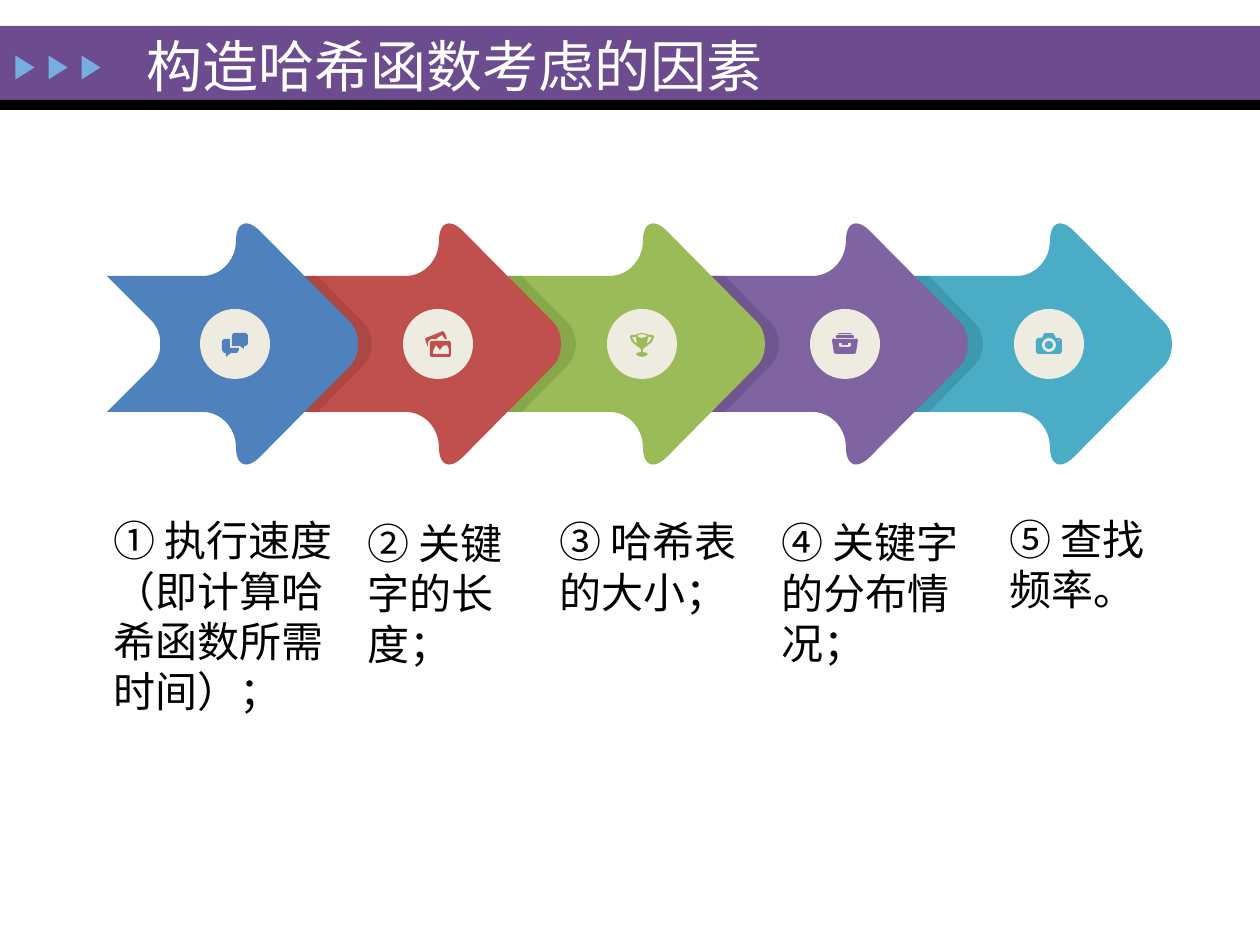
import math
import pptx
import pptx.util
import pptx.dml.color
import pptx.enum.shapes
import pptx.enum.text
import pptx.oxml.ns
import lxml.etree

KIND = pptx.enum.shapes.MSO_SHAPE
SCALE = 914400 / 126
AXIS = 344
PITCH = 203.4
HUES = {
    "band": "6C4C8F", "black": "000000", "white": "FFFFFF", "mark": "76AEDD", "disc": "EEECE1",
    "blue": "4F81BD", "red": "C0504D", "green": "9BBB59", "plum": "8064A2", "teal": "4BACC6",
    "dark red": "632523", "dark green": "77933C", "dark plum": "604A7B", "dark teal": "31859C",
}
STEPS = [
    ("blue", None, 0),
    ("red", "dark red", 20),
    ("green", "dark green", 50),
    ("plum", "dark plum", 50),
    ("teal", "dark teal", 50),
]
NOTES = [
    ("① 执行速度（即计算哈希函数所需时间）；", 101, 249, 205),
    ("② 关键字的长度；", 355, 186, 160),
    ("③ 哈希表的大小；", 547, 221, 106),
    ("④ 关键字的分布情况；", 769, 207, 159),
    ("⑤ 查找频率。", 997, 183, 102),
]

TAIL = [(0, 0), (0, -34), (0, -53, 15, -68, 34, -68)]
NOTCH = [(93, 0), (94, -9, 90, -18, 84, -24), (40, -68)]
HEAD = [
    (136, -68),
    (154, -68, 169, -84, 169, -103),
    (169, -122, 180, -126, 193, -113),
    (281, -24),
    (288, -18, 291, -9, 291, 0),
]
SHADE = TAIL + [(48, -68), (91, -24), (98, -18, 102, -9, 102, 0)]


def px(num):
    return pptx.util.Emu(round(num * SCALE))


def rgb(hue):
    return pptx.dml.color.RGBColor.from_string(HUES[hue])


def paint(shape, hue, alpha=100):
    shape.shadow.inherit = False
    shape.fill.solid()
    shape.fill.fore_color.rgb = rgb(hue)
    shape.line.fill.background()
    if alpha < 100:
        tint = shape.fill._xPr.find(".//" + pptx.oxml.ns.qn("a:srgbClr"))
        part = lxml.etree.SubElement(tint, pptx.oxml.ns.qn("a:alpha"))
        part.set("val", str(alpha * 1000))


def block(slide, kind, left, top, wide, high, hue):
    shape = slide.shapes.add_shape(kind, px(left), px(top), px(wide), px(high))
    paint(shape, hue)
    return shape


def write(slide, text, left, top, wide, high, size=24, hue="black"):
    box = slide.shapes.add_textbox(px(left), px(top), px(wide), px(high))
    frame = box.text_frame
    frame.word_wrap = True
    frame.vertical_anchor = pptx.enum.text.MSO_ANCHOR.MIDDLE
    para = frame.paragraphs[0]
    para.text = text
    para.font.name = "Calibri"
    para.font.size = pptx.util.Pt(size)
    para.font.color.rgb = rgb(hue)


def bend(segs, count=12):
    dots = []
    for seg in segs:
        if len(seg) == 2:
            dots.append(seg)
            continue
        ends = [dots[-1], seg[:2], seg[2:4], seg[4:]]
        for step in range(1, count + 1):
            t = step / count
            parts = [(1 - t) ** 3, 3 * t * (1 - t) ** 2, 3 * t * t * (1 - t), t ** 3]
            dots.append(tuple(sum(w * p[k] for w, p in zip(parts, ends)) for k in (0, 1)))
    return dots


def fold(segs):
    half = bend(segs)
    return half + [(x, -y) for x, y in reversed(half)]


def twin(half):
    return half + [(-x, y) for x, y in reversed(half)]


def ring(mid, size, count=32):
    turns = [2 * math.pi * step / count for step in range(count)]
    return [(size * math.cos(turn), mid + size * math.sin(turn)) for turn in turns]


def draw(slide, loops, left, hue, alpha=100):
    spots = [[(px(left + x), px(AXIS + y)) for x, y in loop] for loop in loops]
    pen = slide.shapes.build_freeform(*spots[0][0], scale=1.0)
    for order, loop in enumerate(spots):
        if order:
            pen.move_to(*loop[0])
        pen.add_line_segments(loop[1:], close=True)
    paint(pen.convert_to_shape(), hue, alpha)


def icons():
    chat = [
        [(-11, -5), (-5, -5), (-5, 4), (4, 4), (4, 6), (2, 9), (-4, 9), (-9, 13), (-9, 9),
         (-11, 9), (-13, 6), (-13, -3)],
        [(-1, -11), (11, -11), (13, -9), (13, 0), (11, 2), (9, 2), (9, 5), (5, 2), (-3, 2),
         (-3, -9)],
    ]
    photo = [
        [(9, -5), (7, -11), (5, -13), (-12, -6), (-13, -5), (-10, 3), (-10, -2), (-7, -5),
         (-2, -5), (4, -9), (7, -5)],
        [(-7, -3), (12, -3), (13, -1), (13, 11), (12, 13), (-7, 13), (-8, 11), (-8, -1)],
        [(11, 10), (-5, 10), (-5, 7), (-2, 1), (2, 6), (5, 2), (9, 1), (11, 5)],
    ]
    grip = [(6, -7), (10, -7), (8, -3), (5, 0)]
    cup = [
        twin([(0, -11), (5, -10), (6, -9), (11, -9), (12, -7), (10, -2), (5, 2), (1, 5),
              (1, 8), (5, 9), (6, 10), (4, 12), (0, 13)]),
        grip,
        [(-x, y) for x, y in grip],
        twin([(0, -10), (4, -9), (5, -8), (4, -7), (0, -6)]),
    ]
    chest = [
        twin([(6, -11), (7, -10)]),
        twin([(8, -9), (9, -8), (9, -6)]),
        twin([(11, -5), (11, -6), (13, -4), (11, 9), (9, 10)]),
        twin([(3, 1), (3, -1), (6, -1), (6, 2), (5, 3)]),
    ]
    lens = [
        twin([(4, -11), (5, -10), (7, -6), (11, -6), (13, -4), (13, 8), (11, 10)]),
        ring(1, 7),
        ring(1, 4),
        [(9, -4), (11, -4), (11, -3), (9, -3)],
    ]
    return [chat, photo, cup, chest, lens]


def banner(slide):
    block(slide, KIND.RECTANGLE, 0, 26, 1260, 74, "band")
    block(slide, KIND.RECTANGLE, 0, 100, 1260, 10, "black")
    for left in range(13, 80, 33):
        block(slide, KIND.ISOSCELES_TRIANGLE, left, 58, 24, 19, "mark").rotation = 90
    write(slide, "构造哈希函数考虑的因素", 134, 30, 684, 71, size=32, hue="white")


def arrows(slide):
    lefts = [67 + round(PITCH * order) for order in range(len(STEPS))]
    for left, (hue, dark, alpha) in reversed(list(zip(lefts, STEPS))):
        draw(slide, [fold((TAIL if dark else NOTCH) + HEAD)], left, hue)
        if dark:
            draw(slide, [fold(SHADE)], left, dark, alpha)
    for left, (hue, _, _), icon in zip(lefts, STEPS, icons()):
        mid = left + 168
        block(slide, KIND.OVAL, mid - 35, AXIS - 35, 70, 70, "disc")
        draw(slide, icon, mid, hue)


def main():
    deck = pptx.Presentation()
    deck.slide_width, deck.slide_height = px(1260), px(945)
    slide = deck.slides.add_slide(deck.slide_layouts[6])
    banner(slide)
    arrows(slide)
    for text, left, wide, high in NOTES:
        write(slide, text, left, 513, wide, high)
    deck.save("out.pptx")


if __name__ == "__main__":
    main()
